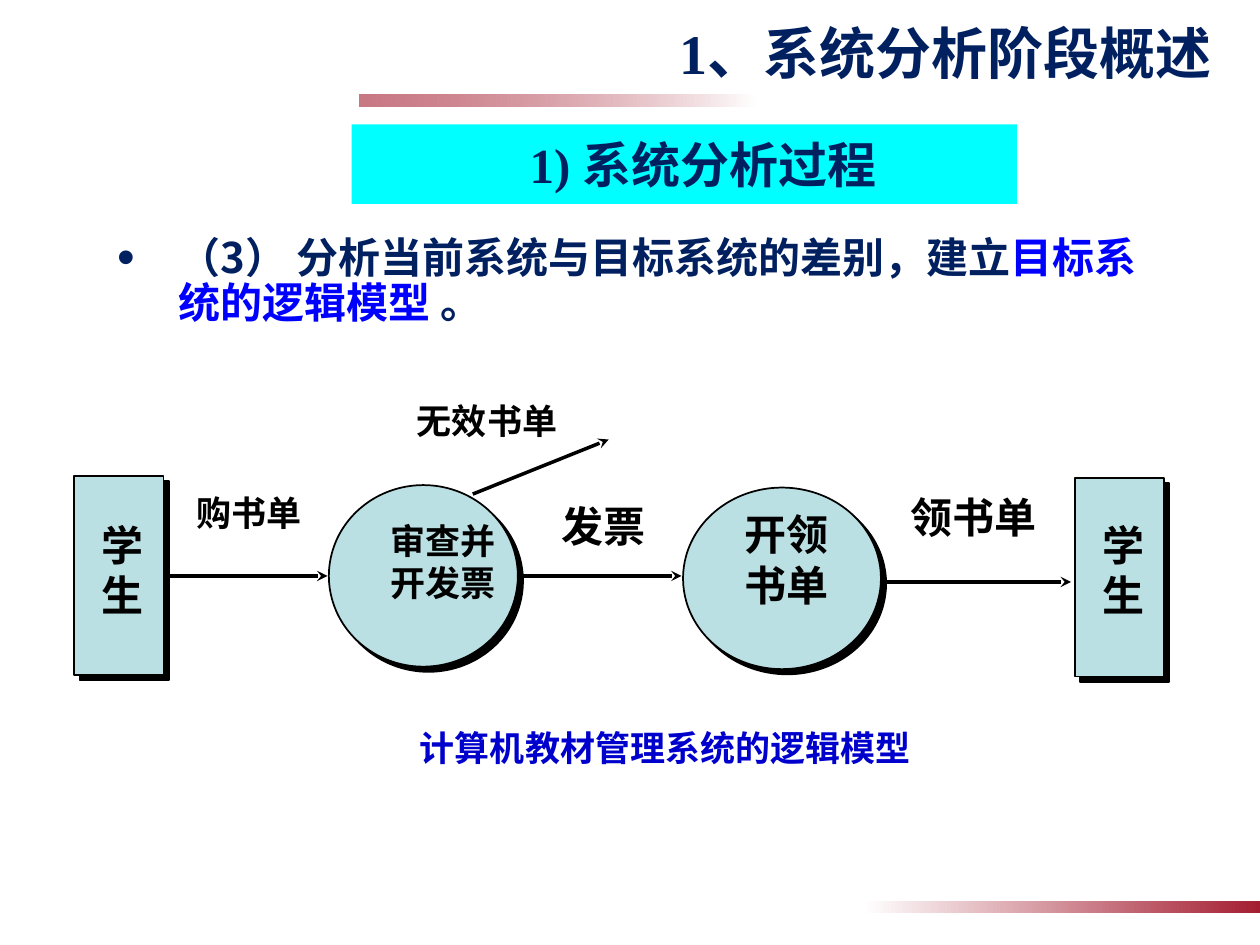
from lxml.etree import SubElement
from pptx import Presentation
from pptx.dml.color import RGBColor
from pptx.enum.shapes import MSO_CONNECTOR as Connector, MSO_SHAPE as Shape
from pptx.enum.text import MSO_ANCHOR as Anchor, MSO_AUTO_SIZE as AutoSize, PP_ALIGN as Align
from pptx.oxml.ns import qn
from pptx.util import Cm, Pt

COLORS = {
    "white": "FFFFFF", "red": "A41E31", "navy": "002060", "blue": "0000FF",
    "caption": "0000CC", "black": "000000", "node": "BBE0E3", "banner": "00FFFF",
}
LATIN, CHINESE = "Times New Roman", "Noto Sans CJK SC"


def color(name):
    return RGBColor.from_string(COLORS[name])


def add_element(parent, tag, **attributes):
    return SubElement(parent, qn(tag), {key: str(value) for key, value in attributes.items()})


class SlideBuilder:
    """Draws the elements of one slide in a shared style."""

    def __init__(self, slide):
        self.slide = slide
        self.shapes = slide.shapes

    def fill_text(self, shape, paragraphs, size, align=Align.CENTER, font=LATIN, **frame_format):
        frame = shape.text_frame
        values = {"word_wrap": True, "auto_size": AutoSize.NONE,
                  "vertical_anchor": Anchor.TOP, **frame_format}
        for key, value in values.items():
            setattr(frame, key, value)
        for index, runs in enumerate(paragraphs):
            paragraph = frame.add_paragraph() if index else frame.paragraphs[0]
            paragraph.alignment = align
            for text, color_name in runs:
                run = paragraph.add_run()
                run.text = text
                for key, value in {"name": font, "size": Pt(size), "bold": True}.items():
                    setattr(run.font, key, value)
                run.font.color.rgb = color(color_name)
                add_element(run._r.get_or_add_rPr(), "a:ea", typeface=CHINESE)
        return frame

    def title(self, text, box):
        title = self.shapes.title
        for key, value in zip(("left", "top", "width", "height"), box):
            setattr(title, key, Cm(value))
        self.fill_text(title, [[(text, "navy")]], 32, Align.RIGHT, vertical_anchor=Anchor.MIDDLE)

    def label(self, lines, box, size=20, color_name="black", **frame_format):
        text_box = self.shapes.add_textbox(*map(Cm, box))
        self.fill_text(text_box, [[(line, color_name)] for line in lines], size, **frame_format)

    def bullet(self, runs, box):
        text_box = self.shapes.add_textbox(*map(Cm, box))
        properties = text_box.text_frame.paragraphs[0]._p.get_or_add_pPr()
        properties.set("marL", str(Cm(1.24)))
        properties.set("indent", str(-Cm(1.24)))
        bullet_color = add_element(properties, "a:buClr")
        add_element(bullet_color, "a:srgbClr", val=COLORS["navy"])
        add_element(properties, "a:buSzPct", val=120000)
        add_element(properties, "a:buFont", typeface="Arial")
        add_element(properties, "a:buChar", char="•")
        frame = self.fill_text(text_box, [runs], 24, Align.LEFT, CHINESE)
        frame.paragraphs[0].line_spacing = 0.9

    def shape(self, kind, box):
        shape = self.shapes.add_shape(kind, *map(Cm, box))
        shape.shadow.inherit = False
        shape.line.fill.background()
        return shape

    def band(self, box, rotation=0, opacity=100):
        band = self.shape(Shape.RECTANGLE, box)
        band.rotation = rotation
        band.fill.gradient()
        band.fill.gradient_angle = 0
        for stop, position, name in zip(band.fill.gradient_stops, (0, 1), ("white", "red")):
            stop.position = position
            stop.color.rgb = color(name)
        red = band._element.spPr.findall(".//" + qn("a:srgbClr"))[-1]
        add_element(red, "a:alpha", val=opacity * 1000)

    def banner(self, text, box):
        banner = self.shape(Shape.RECTANGLE, box)
        banner.fill.solid()
        banner.fill.fore_color.rgb = color("banner")
        self.fill_text(banner, [[(text, "navy")]], 28, margin_left=Cm(1),
                       vertical_anchor=Anchor.MIDDLE)

    def node(self, kind, box):
        node = self.shape(kind, box)
        node.fill.solid()
        node.fill.fore_color.rgb = color("node")
        node.line.color.rgb = color("black")
        node.line.width = Pt(1)
        effects = node._element.spPr.find(qn("a:effectLst"))
        shadow = add_element(effects, "a:outerShdw", blurRad=0, dist=Pt(4.2),
                             dir=45 * 60000, algn="ctr", rotWithShape=0)
        add_element(shadow, "a:srgbClr", val=COLORS["black"])

    def arrow(self, *ends):
        arrow = self.shapes.add_connector(Connector.STRAIGHT, *map(Cm, ends))
        arrow.line.color.rgb = color("black")
        arrow.line.width = Pt(2)
        add_element(arrow.line._get_or_add_ln(), "a:tailEnd", type="stealth")
        add_element(arrow._element.spPr, "a:effectLst")


def main():
    presentation = Presentation()
    presentation.slide_width, presentation.slide_height = Cm(25.4), Cm(19.05)
    builder = SlideBuilder(presentation.slides.add_slide(presentation.slide_layouts[5]))

    builder.band((7.24, 1.9, 8, 0.25), rotation=180, opacity=60)
    builder.band((17.4, 18.16, 8, 0.25))
    builder.title("1、系统分析阶段概述", (3.1, 0.13, 21.59, 1.83))
    builder.banner("1) 系统分析过程", (7.09, 2.51, 13.41, 1.6))
    builder.bullet([
        ("（3） 分析当前系统与目标系统的差别，建立", "navy"),
        ("目标系统的逻辑模型 ", "blue"),
        ("。", "navy"),
    ], (2.11, 4.65, 21.59, 2.54))

    for left, top in ((1.5, 9.6), (21.67, 9.63)):
        builder.node(Shape.RECTANGLE, (left, top, 1.8, 4.01))
        builder.label(["学", "生"], (left + 0.14, 10.34, 1.68, 2.31), 24)
    builder.node(Shape.OVAL, (6.63, 9.78, 3.81, 3.66))
    builder.label(["审查并", "开发票"], (6.81, 10.34, 4.24, 1.96))
    builder.node(Shape.OVAL, (13.77, 9.83, 3.99, 3.66))
    builder.label(["开领", "书单"], (14.73, 10.13, 2.24, 2.31), 24, word_wrap=False)

    for ends in (
        (3.33, 11.61, 6.6, 11.61),
        (10.46, 11.61, 13.74, 11.61),
        (17.78, 11.73, 21.59, 11.73),
        (9.53, 9.96, 12.27, 8.86),
    ):
        builder.arrow(*ends)
    builder.label(["购书单"], (3.68, 9.78, 2.67, 1.12), word_wrap=False)
    builder.label(["发票"], (10.59, 9.96, 3.15, 1.3), 24)
    builder.label(["领书单"], (17.6, 9.78, 4.06, 1.3), 24)
    builder.label(["无效书单"], (7.14, 7.92, 5.36, 1.12))
    builder.label(["计算机教材管理系统的逻辑模型"], (5.31, 14.53, 16.21, 1.12),
                  color_name="caption")
    presentation.save("out.pptx")


if __name__ == "__main__":
    main()
